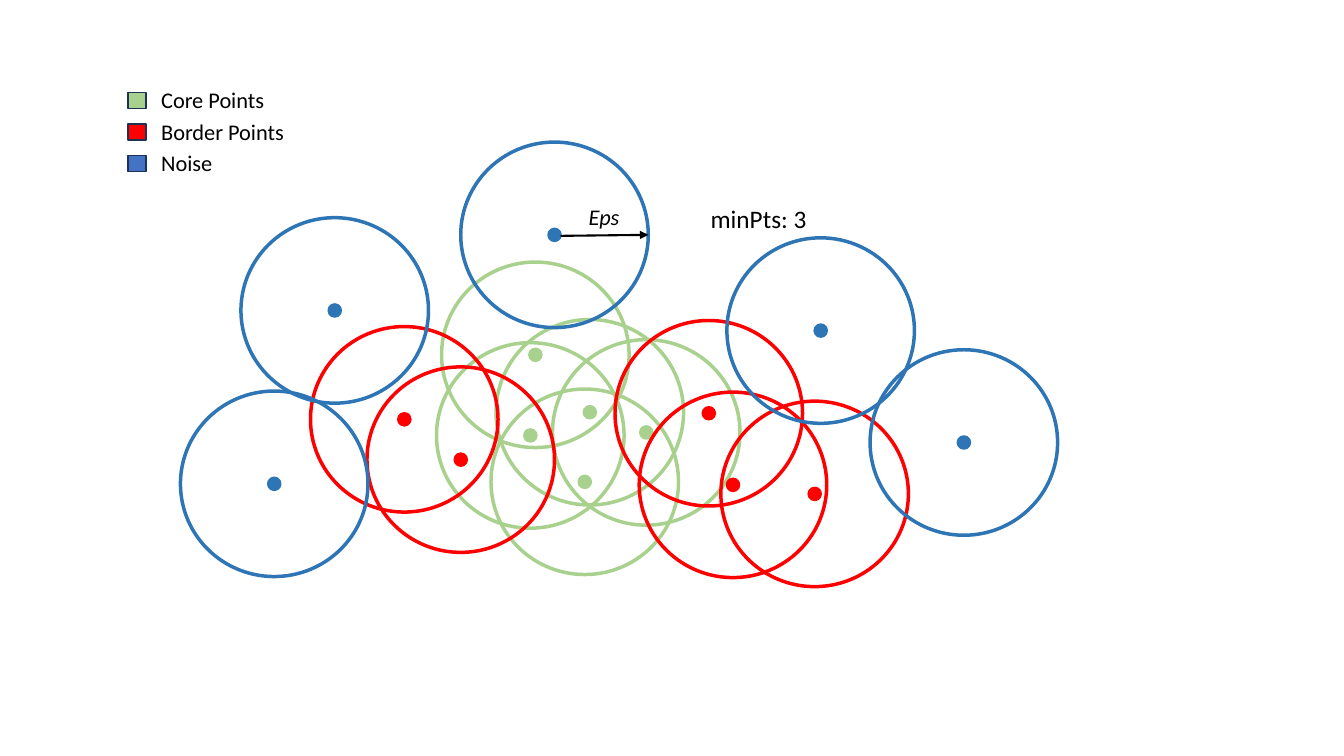
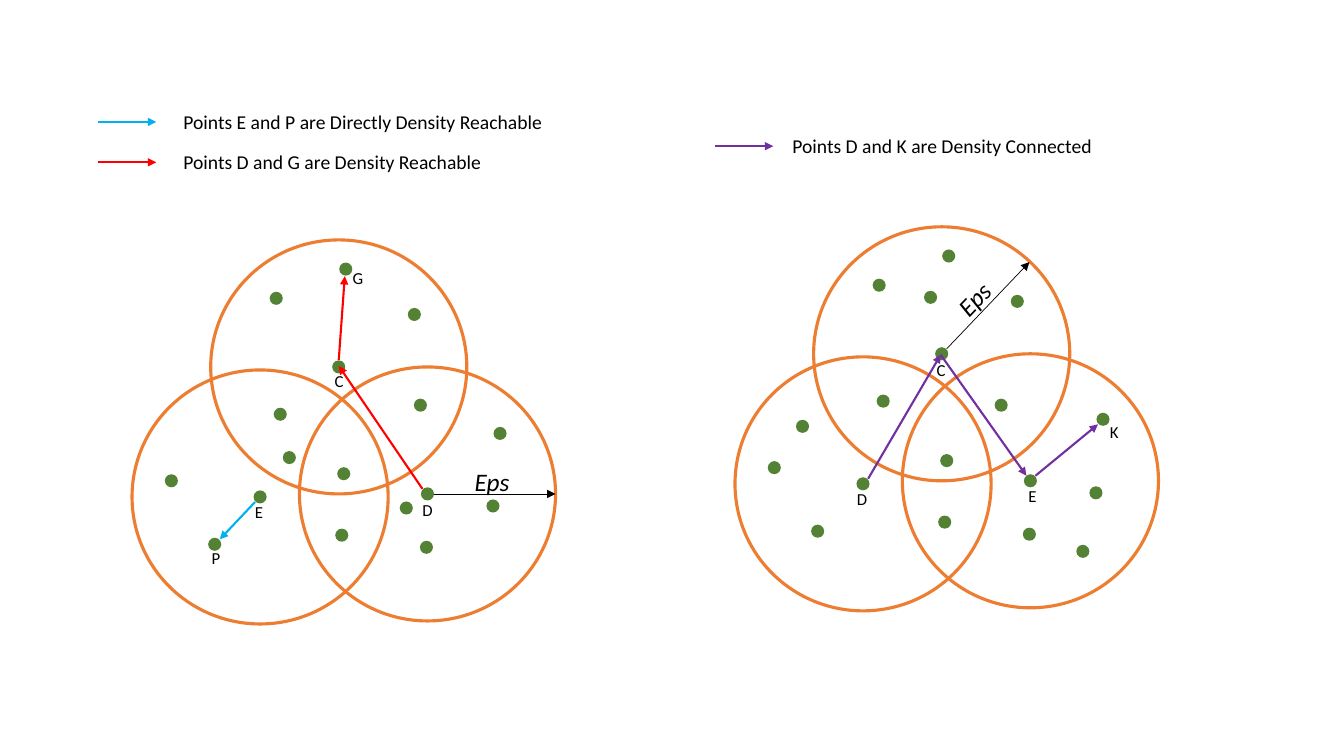
from dataclasses import dataclass

from lxml import etree
from pptx import Presentation
from pptx.dml.color import RGBColor
from pptx.enum.shapes import MSO_CONNECTOR, MSO_SHAPE
from pptx.oxml.ns import qn
from pptx.slide import Slide
from pptx.util import Inches, Pt

OVAL = MSO_SHAPE.OVAL
RECTANGLE = MSO_SHAPE.RECTANGLE
STRAIGHT = MSO_CONNECTOR.STRAIGHT
BLANK_LAYOUT = 6
FONT = "Calibri"
COLORS = {
    "text": "000000",
    "core": "A9D18E",
    "border": "FF0000",
    "noise": "2E75B6",
    "noise_key": "4472C4",
    "key_edge": "1E3256",
    "neighborhood": "ED7D31",
    "point": "548235",
    "direct": "00B0F0",
    "reachable": "FF0000",
    "connected": "7030A0",
}
Position = tuple[float, float]


@dataclass(frozen=True)
class PointClass:
    color: str
    centers: list[Position]


@dataclass(frozen=True)
class KeyEntry:
    text: str
    color: str


@dataclass(frozen=True)
class Arrow:
    start: Position
    end: Position
    color: str
    weight: float = 1.5


@dataclass(frozen=True)
class Label:
    text: str
    left: float
    top: float


@dataclass(frozen=True)
class ArrowKey:
    text: str
    color: str
    arrow_left: float
    text_left: float
    y: float


@dataclass(frozen=True)
class Diagram:
    shift: Position
    own_points: list[Position]
    arrows: list[Arrow]
    letters: list[Label]
    keys: list[ArrowKey]


POINT_CLASSES = [
    PointClass("core", [(5.85, 4.09), (6.41, 4.29), (5.8, 4.78), (5.26, 4.32), (5.31, 3.52)]),
    PointClass("border", [(7.03, 4.1), (7.27, 4.81), (4.57, 4.56), (4.01, 4.16), (8.08, 4.9)]),
    PointClass("noise", [(3.32, 3.08), (8.14, 3.28), (5.5, 2.33), (9.56, 4.39), (2.72, 4.8)]),
]
CLASS_KEY = [
    KeyEntry("Core Points", "core"),
    KeyEntry("Border Points", "border"),
    KeyEntry("Noise", "noise_key"),
]

HUBS = [(2.58, 4.93), (3.36, 3.64), (4.24, 4.9)]
SHARED_POINTS = [
    (2.74, 2.96), (3.43, 2.67), (2.78, 4.11), (4.11, 3.12), (1.7, 4.77),
    (3.41, 4.7), (2.13, 5.4), (4.23, 5.43), (3.39, 5.31), (4.89, 5.02),
]
DIAGRAMS = [
    Diagram(
        shift=(0, 0),
        own_points=[(2.87, 4.54), (4.17, 4.02), (4.96, 4.3), (4.03, 5.04)],
        arrows=[
            Arrow((4.3, 4.9), (5.51, 4.9), "text", 0.5),
            Arrow((2.53, 4.98), (2.18, 5.35), "direct"),
            Arrow((4.19, 4.85), (3.36, 3.63), "reachable"),
            Arrow((3.36, 3.57), (3.42, 2.74), "reachable"),
        ],
        letters=[
            Label("C", 3.22, 3.63),
            Label("D", 4.09, 4.91),
            Label("E", 2.43, 4.93),
            Label("P", 2, 5.38),
            Label("G", 3.4, 2.61),
        ],
        keys=[
            ArrowKey("Points E and P are Directly Density Reachable", "direct", 0.97, 1.72, 1.21),
            ArrowKey("Points D and G are Density Reachable", "reachable", 0.97, 1.72, 1.61),
        ],
    ),
    Diagram(
        shift=(5.98, -0.13),
        own_points=[(7.96, 4.23), (9.93, 4.02), (10.94, 4.16), (10.74, 5.47), (9.23, 2.95)],
        arrows=[
            Arrow((9.39, 3.46), (10.21, 2.6), "text", 0.5),
            Arrow((8.61, 4.75), (9.33, 3.52), "connected"),
            Arrow((9.33, 3.52), (10.18, 4.72), "connected"),
            Arrow((10.27, 4.72), (10.89, 4.21), "connected"),
        ],
        letters=[
            Label("C", 9.19, 3.52),
            Label("D", 8.4, 4.8),
            Label("E", 10.1, 4.77),
            Label("K", 10.91, 4.13),
        ],
        keys=[
            ArrowKey("Points D and K are Density Connected", "connected", 7.09, 7.76, 1.45),
        ],
    ),
]


def rgb(name: str) -> RGBColor:
    return RGBColor.from_string(COLORS[name])


def add_centered(
    slide: Slide,
    kind: MSO_SHAPE,
    center: Position,
    size: Position,
    fill: str | None = None,
    line: str | None = None,
    weight: float = 1,
) -> None:
    x, y = center
    width, height = size
    mark = slide.shapes.add_shape(
        kind, Inches(x - width / 2), Inches(y - height / 2), Inches(width), Inches(height)
    )
    mark.shadow.inherit = False
    if fill:
        mark.fill.solid()
        mark.fill.fore_color.rgb = rgb(fill)
    else:
        mark.fill.background()
    if line:
        mark.line.color.rgb = rgb(line)
        mark.line.width = Pt(weight)
    else:
        mark.line.fill.background()


def add_text(
    slide: Slide,
    text: str,
    left: float,
    top: float,
    width: float,
    height: float,
    *,
    size: float,
    italic: bool = False,
    rotation: float = 0,
) -> None:
    box = slide.shapes.add_textbox(Inches(left), Inches(top), Inches(width), Inches(height))
    box.rotation = rotation
    box.text_frame.word_wrap = True
    paragraph = box.text_frame.paragraphs[0]
    run = paragraph.add_run()
    run.text = text
    run.font.name = FONT
    run.font.size = Pt(size)
    run.font.italic = italic
    run.font.color.rgb = rgb("text")


def add_arrow(slide: Slide, arrow: Arrow) -> None:
    connector = slide.shapes.add_connector(
        STRAIGHT, *(Inches(value) for value in (*arrow.start, *arrow.end))
    )
    connector.line.color.rgb = rgb(arrow.color)
    connector.line.width = Pt(arrow.weight)
    properties = connector.line._get_or_add_ln()
    etree.SubElement(properties, qn("a:tailEnd"), type="triangle")
    etree.SubElement(connector._element.spPr, qn("a:effectLst"))


def build_point_classes(slide: Slide) -> None:
    for point_class in POINT_CLASSES:
        color = point_class.color
        for center in point_class.centers:
            add_centered(slide, OVAL, center, (1.86, 1.84), line=color, weight=2.5)
            add_centered(slide, OVAL, center, (0.11, 0.11), fill=color, line=color, weight=2.5)
    add_arrow(slide, Arrow((5.56, 2.34), (6.43, 2.33), "text"))
    add_text(slide, "Eps", 5.74, 1.97, 0.59, 0.37, size=16, italic=True)
    for row, entry in enumerate(CLASS_KEY):
        y = 1 + 0.31 * row
        add_centered(
            slide, RECTANGLE, (1.36, y), (0.18, 0.16), fill=entry.color, line="key_edge"
        )
        add_text(slide, entry.text, 1.5, y - 0.19, 1.5, 0.37, size=16)
    add_text(slide, "minPts: 3", 6.95, 1.97, 1.3, 0.4, size=18)


def build_diagram(slide: Slide, diagram: Diagram) -> None:
    dx, dy = diagram.shift
    hubs = [(x + dx, y + dy) for x, y in HUBS]
    shared = [(x + dx, y + dy) for x, y in SHARED_POINTS]
    for hub in hubs:
        add_centered(slide, OVAL, hub, (2.54, 2.52), line="neighborhood", weight=2.25)
    for point in hubs + shared + diagram.own_points:
        add_centered(slide, OVAL, point, (0.13, 0.13), fill="point")
    for arrow in diagram.arrows:
        add_arrow(slide, arrow)
    for letter in diagram.letters:
        add_text(slide, letter.text, letter.left, letter.top, 0.28, 0.3, size=12)
    for key in diagram.keys:
        start, end = (key.arrow_left, key.y), (key.arrow_left + 0.58, key.y)
        add_arrow(slide, Arrow(start, end, key.color))
        add_text(slide, key.text, key.text_left, key.y - 0.17, 3.94, 0.34, size=14)


def build_reachability(slide: Slide) -> None:
    for diagram in DIAGRAMS:
        build_diagram(slide, diagram)
    add_text(slide, "Eps", 4.61, 4.58, 0.7, 0.4, size=18, italic=True)
    add_text(slide, "Eps", 9.37, 2.72, 0.66, 0.4, size=18, italic=True, rotation=313.8)


def main() -> None:
    presentation = Presentation()
    presentation.slide_width = Inches(13.33)
    presentation.slide_height = Inches(7.5)
    for build in (build_point_classes, build_reachability):
        build(presentation.slides.add_slide(presentation.slide_layouts[BLANK_LAYOUT]))
    presentation.save("out.pptx")


if __name__ == "__main__":
    main()
